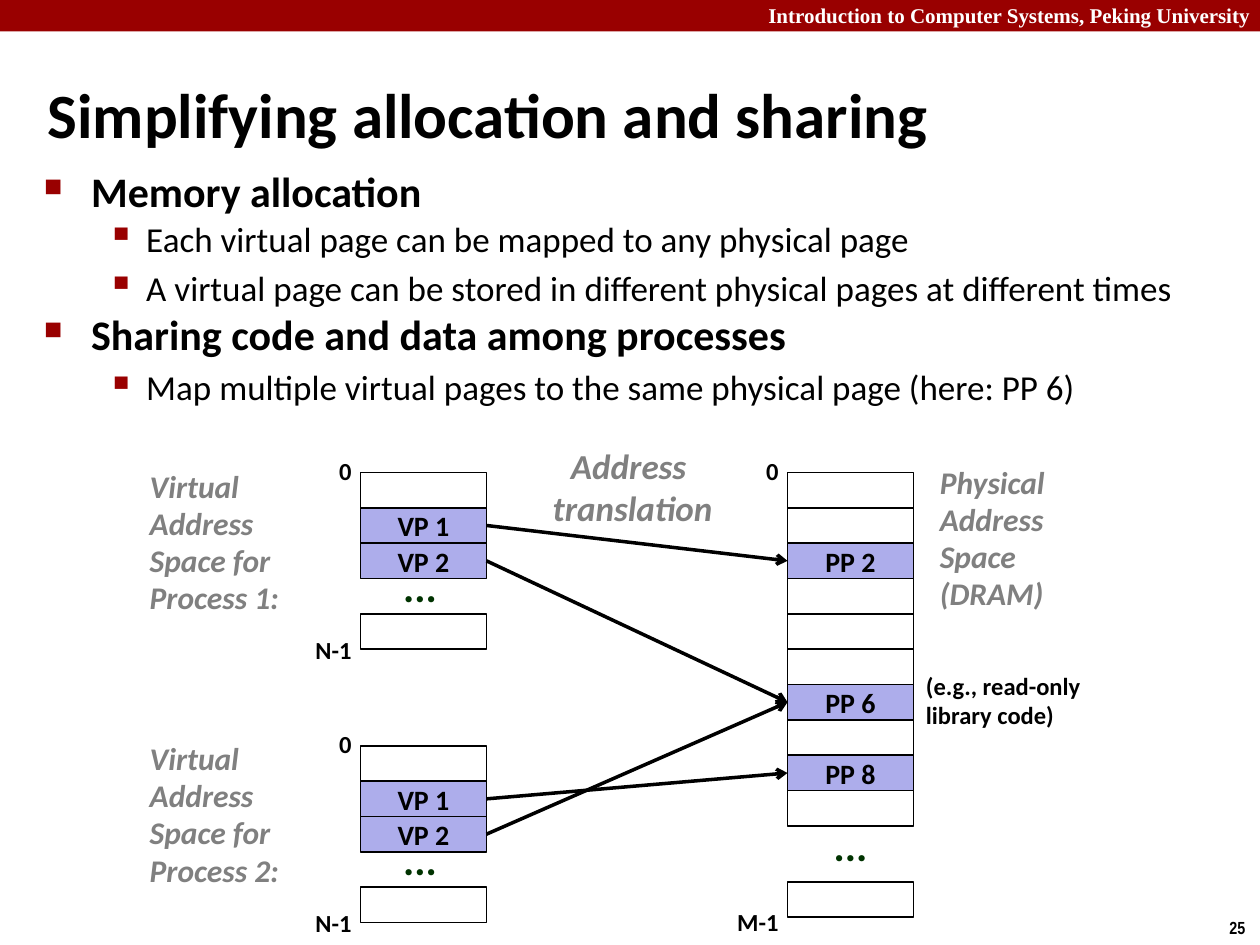
from dataclasses import dataclass, field
from typing import Optional

from lxml import etree
from pptx import Presentation
from pptx import util as u
from pptx.dml import color
from pptx.enum import shapes, text
from pptx.oxml import ns

COLORS = {
    "banner": "990000", "white": "FFFFFF", "black": "000000",
    "gray": "808080", "mapped": "ADADEB", "dots": "003300",
}
LEFT, CENTER, RIGHT = text.PP_ALIGN.LEFT, text.PP_ALIGN.CENTER, text.PP_ALIGN.RIGHT
ROW, COLUMN_WIDTH = 20.2, 72

HEADER = {"size": 12, "name": "Times New Roman", "bold": True, "color": "white"}
NUMBER = {"size": 10, "name": "Arial Narrow", "bold": True, "color": "black"}
TITLE = {"size": 36, "name": "Calibri", "bold": True, "color": "black"}
TOPIC = {**TITLE, "size": 24}
DETAIL = {**TITLE, "size": 20, "bold": False}
CELL = {**TITLE, "size": 16}
LABEL = {**TITLE, "size": 14}
DOTS = {**TITLE, "size": 24, "color": "dots"}
CAPTION = {**TITLE, "size": 18, "italic": True, "color": "gray"}
HEADING = {**CAPTION, "size": 20}


@dataclass
class Bullet:
    words: str
    detail: bool
    spacing: float
    before: float


@dataclass
class Column:
    left: float
    top: float
    rows: int
    mapped: dict[int, str]
    last_top: float
    last_label: str
    dots_left: float
    dots_top: float
    label_top: float


@dataclass
class Note:
    lines: list[str]
    left: float
    top: float
    width: float
    height: float
    style: dict
    spacing: float = 0.98
    align: int = LEFT
    anchor: int = text.MSO_ANCHOR.TOP
    wrap: bool = True


@dataclass
class Mapping:
    source: Column
    source_row: int
    target_row: int


BULLETS = [
    Bullet("Memory allocation", False, 0.83, 0),
    Bullet("Each virtual page can be mapped to any physical page", True, 0.88, 4),
    Bullet("A virtual page can be stored in different physical pages at different times", True, 1, 4),
    Bullet("Sharing code and data among processes", False, 0.83, 4.8),
    Bullet("Map multiple virtual pages to the same physical page (here: PP 6)", True, 1, 4),
]


def process_column(top: float) -> Column:
    """Return the virtual address space of one process."""
    return Column(206, top, 3, {1: "VP 1", 2: "VP 2"}, top + 4 * ROW, "N-1",
                  17.3, top + 50.2, top + 90)


FIRST, SECOND = process_column(270), process_column(426.2)
PHYSICAL = Column(450, 270, 10, {2: "PP 2", 6: "PP 6", 8: "PP 8"}, 504, "M-1",
                  19.3, 468.7, 515.5)
MAPPINGS = [Mapping(FIRST, 1, 2), Mapping(FIRST, 2, 6),
            Mapping(SECOND, 2, 6), Mapping(SECOND, 1, 8)]
NOTES = [
    Note(["Introduction to Computer Systems, Peking University"], 432, -2.2, 293, 21.6, HEADER, 1),
    Note(["25"], 695.5, 520.5, 24.5, 19.4, NUMBER, 1, wrap=False),
    Note(["Simplifying allocation and sharing"], 20.2, 41.8, 678, 45.4, TITLE, 1,
         anchor=text.MSO_ANCHOR.MIDDLE),
    Note(["Virtual Address Space for Process 1:"], 78.5, 264.2, 108, 92.2, CAPTION),
    Note(["Virtual Address Space for Process 2:"], 78.5, 420, 108, 92.2, CAPTION),
    Note(["Physical", "Address", "Space (DRAM)"], 530, 262.1, 84.2, 92.9, CAPTION),
    Note(["(e.g., read-only", "library code)"], 522, 380.9, 114.5, 40.3, LABEL),
    Note(["Address ", "translation"], 308.2, 250.6, 106.6, 55.4, HEADING, 1, CENTER, wrap=False),
]


def rgb(name: str) -> color.RGBColor:
    """Return a named colour."""
    return color.RGBColor.from_string(COLORS[name])


def write(para, words: str, style: dict) -> None:
    """Add one formatted span to a paragraph."""
    span = para.add_run()
    span.text = words
    for key, value in style.items():
        if key == "color":
            span.font.color.rgb = rgb(value)
        else:
            setattr(span.font, key, u.Pt(value) if key == "size" else value)


def draw_note(page, note: Note) -> None:
    """Draw a text box with one paragraph per line."""
    box = page.shapes.add_textbox(*map(u.Pt, (note.left, note.top, note.width, note.height)))
    frame = box.text_frame
    frame.word_wrap, frame.vertical_anchor = note.wrap, note.anchor
    for index, words in enumerate(note.lines):
        para = frame.add_paragraph() if index else frame.paragraphs[0]
        para.alignment, para.line_spacing = note.align, note.spacing
        write(para, words, note.style)


def draw_rectangle(page, left: float, top: float, width: float, height: float,
                   fill: Optional[str], line: Optional[str], words: str = "") -> None:
    """Draw a rectangle with optional fill, outline and text."""
    box = page.shapes.add_shape(shapes.MSO_SHAPE.RECTANGLE, *map(u.Pt, (left, top, width, height)))
    box.shadow.inherit = False
    if fill:
        box.fill.solid()
        box.fill.fore_color.rgb = rgb(fill)
    else:
        box.fill.background()
    if line:
        box.line.color.rgb, box.line.width = rgb(line), u.Pt(1)
    else:
        box.line.fill.background()
    if words:
        para = box.text_frame.paragraphs[0]
        para.alignment = CENTER
        write(para, words, CELL)


def draw_bullets(page, bullets: list[Bullet]) -> None:
    """Draw the two-level bullet list."""
    frame = page.shapes.add_textbox(*map(u.Pt, (18, 95.8, 690, 149.8))).text_frame
    frame.word_wrap = True
    for index, bullet in enumerate(bullets):
        para = frame.add_paragraph() if index else frame.paragraphs[0]
        para.line_spacing, para.space_before = bullet.spacing, u.Pt(bullet.before)
        margin, hang, size, symbol = (58.5, 22.5, 110, "▪") if bullet.detail else (27, 27, 60, "■")
        properties = para._p.get_or_add_pPr()
        properties.set("marL", str(u.Pt(margin)))
        properties.set("indent", str(-u.Pt(hang)))
        tint = etree.SubElement(properties, ns.qn("a:buClr"))
        etree.SubElement(tint, ns.qn("a:srgbClr"), val=COLORS["banner"])
        etree.SubElement(properties, ns.qn("a:buSzPct"), val=str(size * 1000))
        etree.SubElement(properties, ns.qn("a:buChar"), char=symbol)
        write(para, bullet.words, DETAIL if bullet.detail else TOPIC)


def draw_column(page, column: Column) -> None:
    """Draw an address space with its end labels and ellipsis."""
    for row in range(column.rows):
        words = column.mapped.get(row, "")
        draw_rectangle(page, column.left, column.top + row * ROW, COLUMN_WIDTH, ROW,
                       "mapped" if words else None, "black", words)
    draw_rectangle(page, column.left, column.last_top, COLUMN_WIDTH, ROW, None, "black")
    for words, top in (("0", column.top - 12.2), (column.last_label, column.label_top)):
        draw_note(page, Note([words], column.left - 58, top, 60, 23.8, LABEL, align=RIGHT))
    draw_note(page, Note(["..."], column.left + column.dots_left, column.dots_top,
                         33.8, 32.4, DOTS, 0.88, wrap=False))


def draw_mapping(page, mapping: Mapping) -> None:
    """Draw an arrow from a virtual page to its physical page."""
    source = mapping.source
    ends = (source.left + COLUMN_WIDTH, source.top + (mapping.source_row + 0.5) * ROW,
            PHYSICAL.left, PHYSICAL.top + (mapping.target_row + 0.5) * ROW)
    arrow = page.shapes.add_connector(shapes.MSO_CONNECTOR.STRAIGHT, *map(u.Pt, ends))
    arrow.line.color.rgb, arrow.line.width = rgb("black"), u.Pt(2)
    properties = arrow.element.spPr
    etree.SubElement(properties.find(ns.qn("a:ln")), ns.qn("a:tailEnd"), type="arrow")
    etree.SubElement(properties, ns.qn("a:effectLst"))


def main() -> None:
    """Build and save the deck."""
    deck = Presentation()
    deck.slide_width, deck.slide_height = u.Pt(720), u.Pt(540)
    page = deck.slides.add_slide(deck.slide_layouts[6])
    draw_rectangle(page, 0, 0, 720, 18, "banner", None)
    draw_bullets(page, BULLETS)
    for column in (FIRST, SECOND, PHYSICAL):
        draw_column(page, column)
    for mapping in MAPPINGS:
        draw_mapping(page, mapping)
    for note in NOTES:
        draw_note(page, note)
    deck.save("out.pptx")


if __name__ == "__main__":
    main()
